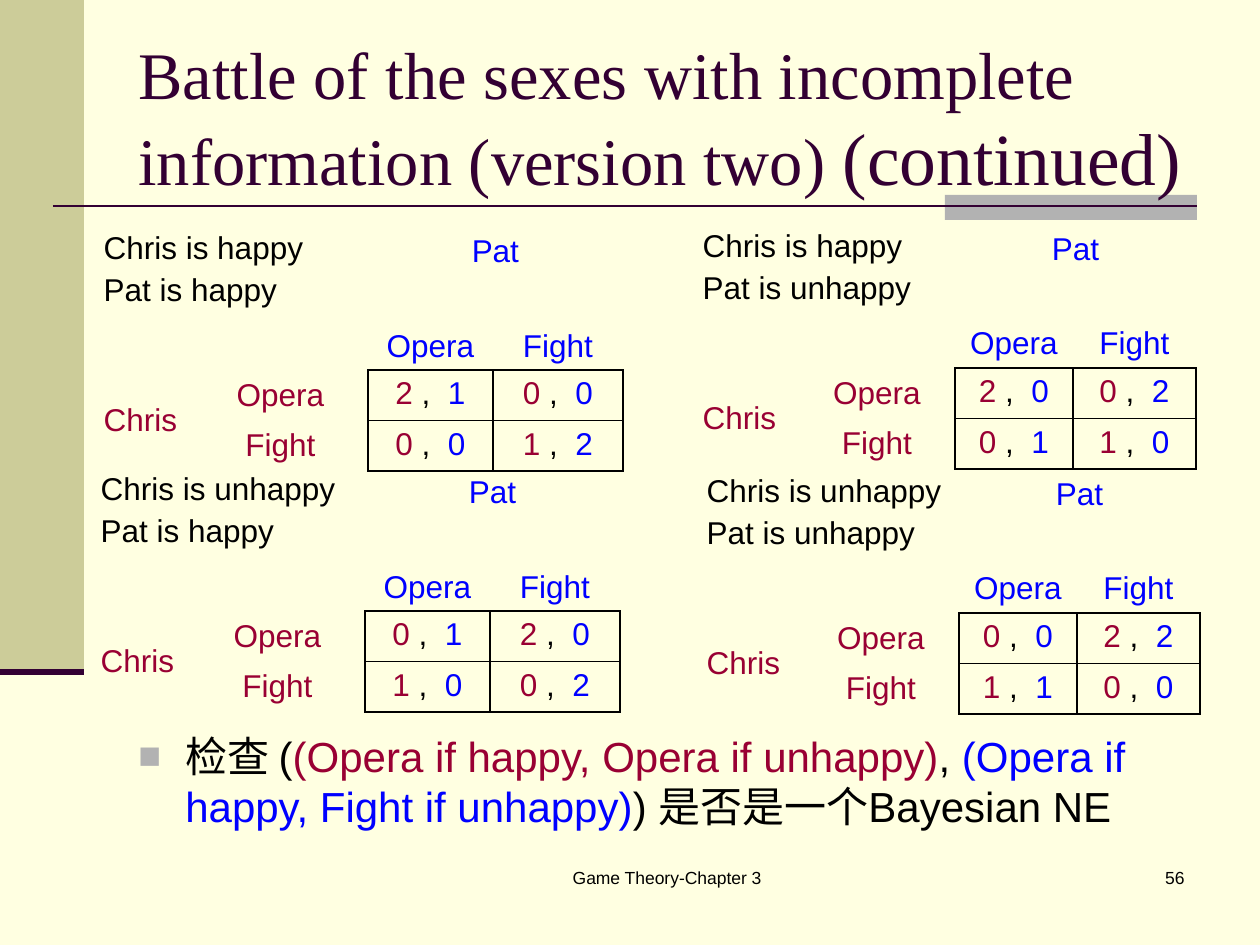
from dataclasses import dataclass

from lxml import etree
from pptx import Presentation
from pptx.dml.color import RGBColor
from pptx.enum.shapes import MSO_CONNECTOR, MSO_SHAPE
from pptx.enum.text import MSO_ANCHOR, PP_ALIGN
from pptx.oxml.ns import qn
from pptx.util import Emu, Pt

EMU_PER_PX = 914400 / 126
RECTANGLE = MSO_SHAPE.RECTANGLE
STRAIGHT = MSO_CONNECTOR.STRAIGHT
LEFT, CENTER, RIGHT = PP_ALIGN.LEFT, PP_ALIGN.CENTER, PP_ALIGN.RIGHT
TOP, MIDDLE, BOTTOM = MSO_ANCHOR.TOP, MSO_ANCHOR.MIDDLE, MSO_ANCHOR.BOTTOM

CREAM, OLIVE, GRAY, PLUM = "FFFFE1", "CCCC99", "B2B2B2", "330033"
BLACK, CHRIS_RED, PAT_BLUE = "000000", "990033", "0000FF"
ACTIONS = ("Opera", "Fight")


@dataclass
class Span:
    text: str
    color: str = BLACK
    size: int = 18
    font: str = "Arial"


@dataclass
class Game:
    left: int
    top: int
    columns: tuple
    rows: tuple
    moods: tuple
    payoffs: tuple


WIDE = (102, 175, 125, 130), (43, 43, 45, 45)
NARROW = (109, 156, 118, 123), (37, 37, 37, 37)
GAMES = (
    Game(91, 225, *WIDE, ("happy", "happy"), (("21", "00"), ("00", "12"))),
    Game(690, 223, *NARROW, ("happy", "unhappy"), (("20", "02"), ("01", "10"))),
    Game(88, 466, *WIDE, ("unhappy", "happy"), (("01", "20"), ("10", "02"))),
    Game(694, 468, *NARROW, ("unhappy", "unhappy"), (("00", "22"), ("11", "00"))),
)


def px(length: int) -> Emu:
    return Emu(round(length * EMU_PER_PX))


def rgb(color: str) -> RGBColor:
    return RGBColor.from_string(color)


def write(para, spans: list[Span], align=LEFT) -> None:
    para.alignment = align
    for span in spans:
        run = para.add_run()
        run.text = span.text
        run.font.name = span.font
        run.font.size = Pt(span.size)
        run.font.color.rgb = rgb(span.color)


def space_before_fifth(para) -> None:
    """Put 20% of a line before the paragraph."""
    spacing = etree.Element(qn("a:spcBef"))
    etree.SubElement(spacing, qn("a:spcPct"), val="20000")
    para._p.get_or_add_pPr().insert(0, spacing)


def add_bullet(para, character: str, color: str, indent: int) -> None:
    properties = para._p.get_or_add_pPr()
    properties.set("marL", str(px(indent)))
    properties.set("indent", str(-px(indent)))
    bullet_color = etree.SubElement(properties, qn("a:buClr"))
    etree.SubElement(bullet_color, qn("a:srgbClr"), val=color)
    etree.SubElement(properties, qn("a:buSzPct"), val="90000")
    etree.SubElement(properties, qn("a:buFont"), typeface="Arial")
    etree.SubElement(properties, qn("a:buChar"), char=character)


def add_text(slide, left: int, top: int, width: int, height: int,
             spans: list[Span], align=LEFT, anchor=TOP):
    box = slide.shapes.add_textbox(px(left), px(top), px(width), px(height))
    box.text_frame.word_wrap = True
    box.text_frame.vertical_anchor = anchor
    para = box.text_frame.paragraphs[0]
    write(para, spans, align)
    return para


def add_bar(slide, left: int, top: int, width: int, height: int, color: str) -> None:
    bar = slide.shapes.add_shape(RECTANGLE, px(left), px(top), px(width), px(height))
    bar.shadow.inherit = False
    bar.fill.solid()
    bar.fill.fore_color.rgb = rgb(color)
    bar.line.fill.background()


def add_rule(slide, left: int, right: int, y: int, weight: float) -> None:
    rule = slide.shapes.add_connector(STRAIGHT, px(left), px(y), px(right), px(y))
    rule.line.color.rgb = rgb(PLUM)
    rule.line.width = Pt(weight)
    etree.SubElement(rule._element.spPr, qn("a:effectLst"))


def set_borders(cell, black_sides: str) -> None:
    properties = cell._tc.get_or_add_tcPr()
    for side in "LRTB":
        border = etree.SubElement(properties, qn(f"a:ln{side}"), w=str(Pt(1)))
        if side in black_sides:
            fill = etree.SubElement(border, qn("a:solidFill"))
            etree.SubElement(fill, qn("a:srgbClr"), val=BLACK)
        else:
            etree.SubElement(border, qn("a:noFill"))


def black_sides(row: int, column: int) -> str:
    """Name the ruled sides: all around payoffs, and those facing them."""
    if row >= 2 and column >= 2:
        return "LRTB"
    if row == 1 and column >= 2:
        return "B"
    return "R" if row >= 2 and column == 1 else ""


def fill_cell(cell, lines: list[list[Span]], align=CENTER, anchor=MIDDLE) -> None:
    cell.vertical_anchor = anchor
    frame = cell.text_frame
    for index, spans in enumerate(lines):
        para = frame.add_paragraph() if index else frame.paragraphs[0]
        write(para, spans, align)
        space_before_fifth(para)


def add_game(slide, game: Game) -> None:
    frame = slide.shapes.add_table(4, 4, px(game.left), px(game.top),
                                   px(sum(game.columns)), px(sum(game.rows)))
    table = frame.table
    table.first_row = table.horz_banding = False
    for column, width in zip(table.columns, game.columns):
        column.width = px(width)
    for row, height in zip(table.rows, game.rows):
        row.height = px(height)
    for row in range(4):
        for column in range(4):
            cell = table.cell(row, column)
            set_borders(cell, black_sides(row, column))
            cell.fill.background()

    table.cell(0, 0).merge(table.cell(1, 1))
    table.cell(0, 2).merge(table.cell(0, 3))
    table.cell(2, 0).merge(table.cell(3, 0))
    moods = [[Span(f"{player} is {mood}")]
             for player, mood in zip(("Chris", "Pat"), game.moods)]
    fill_cell(table.cell(0, 0), moods, LEFT, TOP)
    fill_cell(table.cell(0, 2), [[Span("Pat", PAT_BLUE)]], anchor=BOTTOM)
    fill_cell(table.cell(2, 0), [[Span("Chris", CHRIS_RED)]], LEFT)
    for index, action in enumerate(ACTIONS, start=2):
        fill_cell(table.cell(1, index), [[Span(action, PAT_BLUE)]], anchor=BOTTOM)
        fill_cell(table.cell(index, 1), [[Span(action, CHRIS_RED)]])
    for row, pairs in enumerate(game.payoffs, start=2):
        for column, (chris, pat) in enumerate(pairs, start=2):
            spans = [Span(chris, CHRIS_RED), Span(" ,  "), Span(pat, PAT_BLUE)]
            fill_cell(table.cell(row, column), [spans], anchor=TOP)


def main() -> None:
    deck = Presentation()
    deck.slide_width, deck.slide_height = px(1260), px(945)
    slide = deck.slides.add_slide(deck.slide_layouts[6])
    slide.background.fill.solid()
    slide.background.fill.fore_color.rgb = rgb(CREAM)

    add_bar(slide, 0, 0, 84, 672, OLIVE)
    add_bar(slide, 945, 195, 252, 25, GRAY)
    add_rule(slide, 53, 1197, 206, 1.5)
    add_rule(slide, 0, 84, 672, 3.5)

    add_text(slide, 126, 38, 1071, 157, [
        Span("Battle of the sexes with incomplete information (version two) ",
             PLUM, 38, "Times New Roman"),
        Span("(continued)", PLUM, 42, "Times New Roman"),
    ], anchor=MIDDLE)
    question = add_text(slide, 126, 724, 1071, 120, [
        Span("检查 (", size=24),
        Span("(Opera if happy, Opera if unhappy)", CHRIS_RED, 24),
        Span(", ", size=24),
        Span("(Opera if happy, Fight if unhappy)", PAT_BLUE, 24),
        Span(") 是否是一个Bayesian NE", size=24),
    ])
    space_before_fifth(question)
    add_bullet(question, "■", GRAY, 47)

    for game in GAMES:
        add_game(slide, game)
    add_text(slide, 462, 861, 410, 63, [Span("Game Theory-Chapter 3", size=10)], CENTER)
    add_text(slide, 935, 861, 262, 63, [Span("56", size=10)], RIGHT)
    deck.save("out.pptx")


if __name__ == "__main__":
    main()
